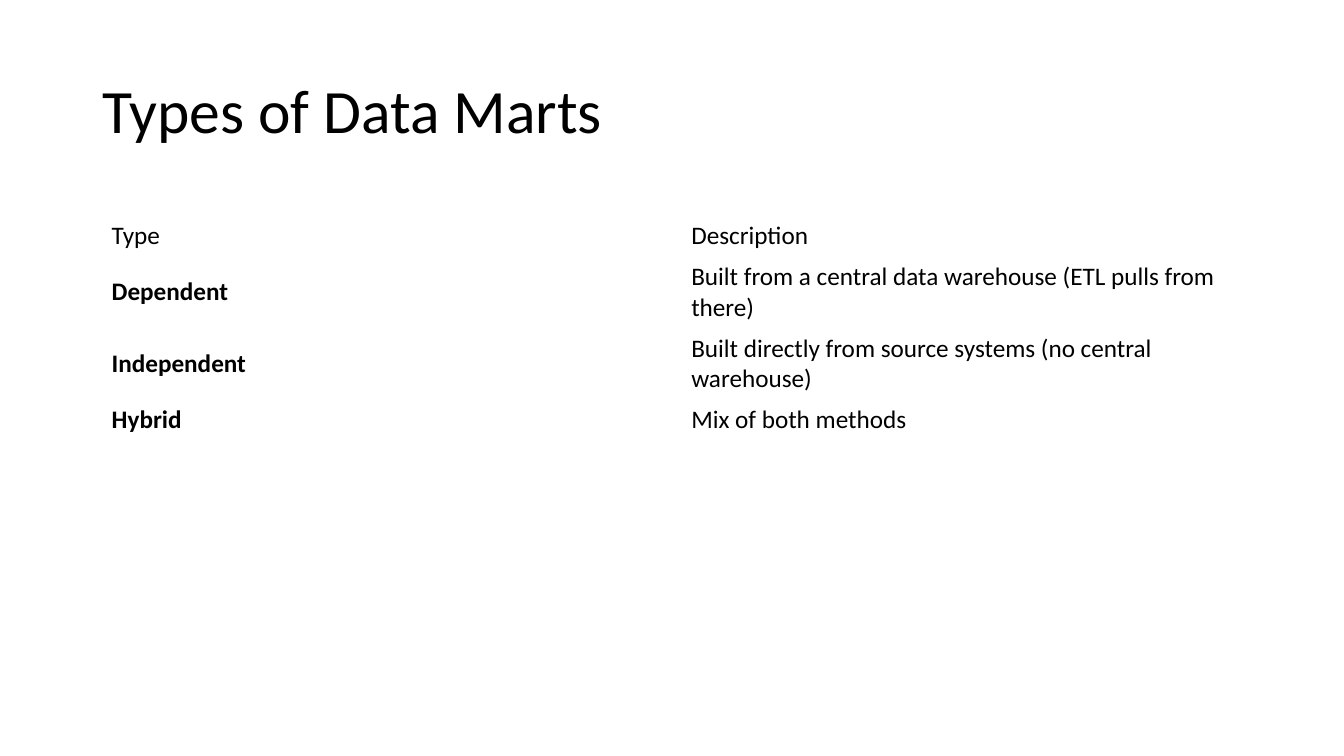
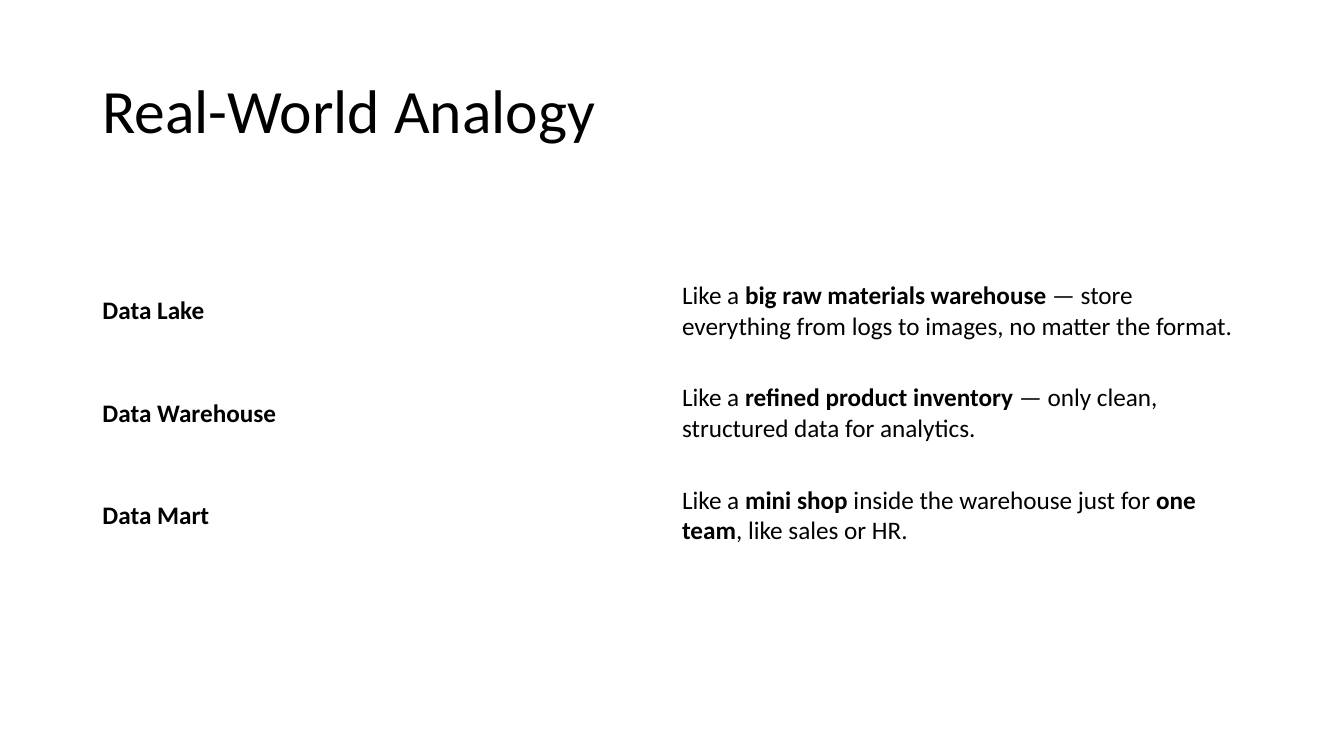
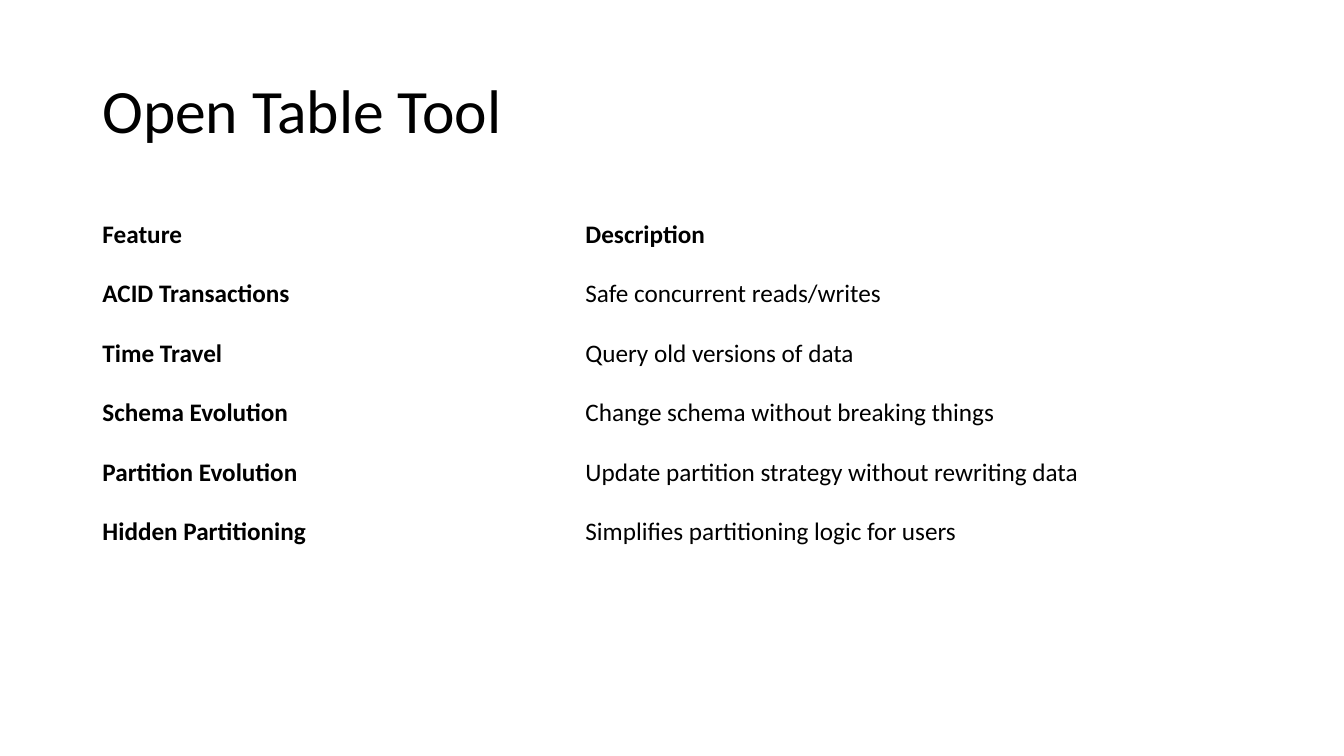
from pptx import Presentation
from pptx.dml.color import RGBColor
from pptx.enum.text import MSO_ANCHOR as Anchor
from pptx.util import Pt

# Shared look
FONT = "Calibri"
BLACK = RGBColor(0x00, 0x00, 0x00)
WHITE = RGBColor(0xFF, 0xFF, 0xFF)
BOLD_MARK = "**"
SLIDE_WIDTH, SLIDE_HEIGHT = 960, 540
MARGIN, CONTENT_WIDTH = 66, 828
TITLE_TOP, TITLE_HEIGHT = 28.8, 104.4
ONE_LINE, TWO_LINES = 29.2, 51.15

# Table contents; text between double asterisks is bold
MART_TYPES = [
    ("Type", "Description"),
    ("**Dependent**", "Built from a central data warehouse (ETL pulls from there)"),
    ("**Independent**", "Built directly from source systems (no central warehouse)"),
    ("**Hybrid**", "Mix of both methods"),
]
ANALOGIES = [
    ("", ""),
    ("**Data Lake**",
     "Like a **big raw materials warehouse** — store everything from logs to images, "
     "no matter the format."),
    ("**Data Warehouse**",
     "Like a **refined product inventory** — only clean, structured data for analytics."),
    ("**Data Mart**",
     "Like a **mini shop** inside the warehouse just for **one team**, like sales or HR."),
]
TABLE_FORMAT_FEATURES = [
    ("**Feature**", "**Description**"),
    ("**ACID Transactions**", "Safe concurrent reads/writes"),
    ("**Time Travel**", "Query old versions of data"),
    ("**Schema Evolution**", "Change schema without breaking things"),
    ("**Partition Evolution**", "Update partition strategy without rewriting data"),
    ("**Hidden Partitioning**", "Simplifies partitioning logic for users"),
]


def write_text(frame, text, size=18, color=BLACK, line_spacing=None):
    """Fill a text frame with one paragraph, switching bold at each mark."""
    frame.word_wrap = True
    paragraph = frame.paragraphs[0]
    paragraph.line_spacing = line_spacing
    paragraph.font.size = Pt(size)
    for index, part in enumerate(text.split(BOLD_MARK)):
        if part:
            run = paragraph.add_run()
            run.text = part
            run.font.name = FONT
            run.font.size = Pt(size)
            run.font.bold = index % 2 == 1
            run.font.color.rgb = color


def add_titled_slide(deck, title):
    slide = deck.slides.add_slide(deck.slide_layouts[6])
    slide.background.fill.solid()
    slide.background.fill.fore_color.rgb = WHITE
    heading = slide.shapes.add_textbox(
        Pt(MARGIN), Pt(TITLE_TOP), Pt(CONTENT_WIDTH), Pt(TITLE_HEIGHT))
    heading.text_frame.vertical_anchor = Anchor.MIDDLE
    write_text(heading.text_frame, title, size=44, line_spacing=0.9)
    return slide


def add_plain_table(slide, rows, top, widths, heights, left=MARGIN):
    """Add a table without fills, banding or header styling."""
    table = slide.shapes.add_table(
        len(rows), len(widths), Pt(left), Pt(top),
        Pt(sum(widths)), Pt(sum(heights))).table
    table.first_row = table.horz_banding = False
    for column, width in zip(table.columns, widths):
        column.width = Pt(width)
    for row, height, texts in zip(table.rows, heights, rows):
        row.height = Pt(height)
        for cell, text in zip(row.cells, texts):
            cell.fill.background()
            cell.vertical_anchor = Anchor.MIDDLE
            write_text(cell.text_frame, text)


def main():
    deck = Presentation()
    deck.slide_width, deck.slide_height = Pt(SLIDE_WIDTH), Pt(SLIDE_HEIGHT)
    halves = [CONTENT_WIDTH / 2] * 2

    # Data mart types
    slide = add_titled_slide(deck, "Types of Data Marts")
    add_plain_table(slide, MART_TYPES, 154, halves,
                    [ONE_LINE, TWO_LINES, TWO_LINES, ONE_LINE], left=72.6)

    # Analogy, below an empty first row
    slide = add_titled_slide(deck, "Real-World Analogy")
    add_plain_table(slide, ANALOGIES, 144, halves, [41.8] + [73.1] * 3)

    # Table format features
    slide = add_titled_slide(deck, "Open Table Tool")
    add_plain_table(slide, TABLE_FORMAT_FEATURES, 146.2, [345, 483],
                    [42.5] * len(TABLE_FORMAT_FEATURES))

    deck.save("out.pptx")


if __name__ == "__main__":
    main()
